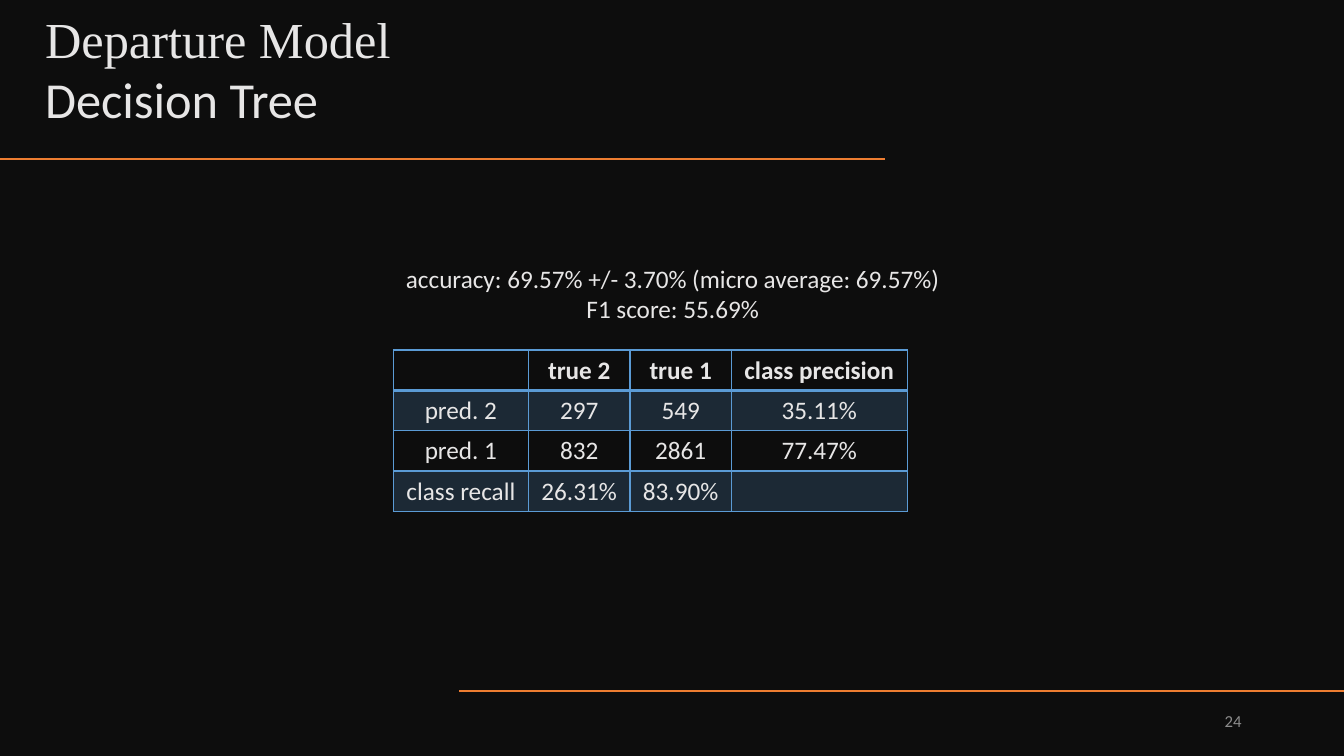
from dataclasses import dataclass

from pptx import Presentation
from pptx.dml.color import RGBColor
from pptx.enum.shapes import MSO_CONNECTOR, MSO_SHAPE
from pptx.enum.text import MSO_ANCHOR, MSO_AUTO_SIZE, PP_ALIGN
from pptx.oxml.ns import qn
from pptx.util import Pt
from lxml.etree import SubElement


@dataclass(frozen=True)
class Theme:
    back: str = "0D0D0D"
    text: str = "E7E6E6"
    muted: str = "8C8C8C"
    rule: str = "ED7D31"
    grid: str = "5B9BD5"
    band_alpha: int = 20
    title_size: int = 36
    body_size: int = 18
    number_size: int = 12
    font: str = "Calibri"
    serif: str = "Times New Roman"


T = Theme()
W, H = 960, 540
PLAIN_TABLE = "{2D5ABB26-0587-4C30-8999-92F81FD0307C}"
MATRIX = [
    ["", "true 2", "true 1", "class precision"],
    ["pred. 2", "297", "549", "35.11%"],
    ["pred. 1", "832", "2861", "77.47%"],
    ["class recall", "26.31%", "83.90%", ""],
]


def add_run(p, text, size, color=T.text, font=T.font, bold=False):
    r = p.add_run()
    r.text = text
    r.font.size, r.font.name, r.font.bold = Pt(size), font, bold
    r.font.color.rgb = RGBColor.from_string(color)


def place(sp, box):
    sp.left, sp.top, sp.width, sp.height = (Pt(v) for v in box)


def add_text_box(s, box):
    tf = s.shapes.add_textbox(*(Pt(v) for v in box)).text_frame
    tf.word_wrap = True
    return tf


def add_rule(s, x1, x2, y):
    ln = s.shapes.add_connector(MSO_CONNECTOR.STRAIGHT, Pt(x1), Pt(y), Pt(x2), Pt(y))
    ln.line.color.rgb = RGBColor.from_string(T.rule)
    ln.line.width = Pt(1)
    SubElement(ln.element.spPr, qn("a:effectLst"))


def add_backdrop(s, box):
    sp = s.shapes.add_shape(MSO_SHAPE.RECTANGLE, *(Pt(v) for v in box))
    sp.shadow.inherit = False
    sp.fill.solid()
    sp.fill.fore_color.rgb = RGBColor.from_string(T.back)
    sp.line.fill.background()
    s.shapes.title.element.addprevious(sp.element)  # behind the title


def add_title(s, box):
    sp = s.shapes.title
    place(sp, box)
    tf = sp.text_frame
    tf.word_wrap = True
    tf.auto_size = MSO_AUTO_SIZE.SHAPE_TO_FIT_TEXT
    tf.vertical_anchor = MSO_ANCHOR.TOP
    lines = [("Departure Model", T.serif), ("Decision Tree", T.font)]
    for i, (text, font) in enumerate(lines):
        p = tf.add_paragraph() if i else tf.paragraphs[0]
        p.alignment = PP_ALIGN.LEFT
        add_run(p, text, T.title_size, font=font)


def add_scores(s, box):
    tf = add_text_box(s, box)
    tf.auto_size = MSO_AUTO_SIZE.SHAPE_TO_FIT_TEXT
    p = tf.paragraphs[0]
    p.alignment = PP_ALIGN.CENTER
    add_run(p, "accuracy: 69.57% +/- 3.70% (micro average: 69.57%)", T.body_size)
    p.add_line_break()
    add_run(p, "F1 score: 55.69%", T.body_size)


def set_borders(cell, widths):
    tcPr = cell._tc.get_or_add_tcPr()
    for side in ("L", "R", "T", "B"):
        ln = SubElement(tcPr, qn(f"a:ln{side}"), w=str(Pt(widths.get(side, 1))))
        fill = SubElement(ln, qn("a:solidFill"))
        SubElement(fill, qn("a:srgbClr"), val=T.grid)


def fill_band(cell):
    cell.fill.solid()
    cell.fill.fore_color.rgb = RGBColor.from_string(T.grid)
    color = cell._tc.tcPr.find(f"{qn('a:solidFill')}/{qn('a:srgbClr')}")
    SubElement(color, qn("a:alpha"), val=str(T.band_alpha * 1000))


def add_matrix(s, box, col_widths):
    frame = s.shapes.add_table(len(MATRIX), len(MATRIX[0]), *(Pt(v) for v in box))
    next(frame.element.iter(qn("a:tableStyleId"))).text = PLAIN_TABLE
    table = frame.table
    for col, width in zip(table.columns, col_widths):
        col.width = Pt(width)
    for i, row in enumerate(MATRIX):
        table.rows[i].height = Pt(box[3] / len(MATRIX))
        # Header has a heavy lower edge
        edges = {"B": 2} if i == 0 else {"T": 2} if i == 1 else {}
        for j, text in enumerate(row):
            cell = table.cell(i, j)
            cell.vertical_anchor = MSO_ANCHOR.MIDDLE
            set_borders(cell, edges)
            if i % 2:
                fill_band(cell)
            else:
                cell.fill.background()
            if text:
                p = cell.text_frame.paragraphs[0]
                p.alignment = PP_ALIGN.CENTER
                add_run(p, text, T.body_size, bold=i == 0)


def add_number(s, box):
    tf = add_text_box(s, box)
    tf.vertical_anchor = MSO_ANCHOR.MIDDLE
    p = tf.paragraphs[0]
    p.alignment = PP_ALIGN.RIGHT
    add_run(p, "24", T.number_size, T.muted)


def build_model_slide(prs):
    s = prs.slides.add_slide(prs.slide_layouts[5])
    # Backdrop and rules
    add_backdrop(s, (0, 0, W, H))
    rule = 632
    add_rule(s, rule, 0, 113.5)
    add_rule(s, W, W - rule, 493.5)
    # Title, scores and confusion matrix
    add_title(s, (25, 2, 480, 94.5))
    add_scores(s, (279, 184.5, 403, 51))
    add_matrix(s, (281, 250, 367, 115.2), (96.5, 72.5, 72.5, 125.5))
    # Slide number
    add_number(s, (678, 500.5, 216, 28.8))


def main():
    prs = Presentation()
    prs.slide_width, prs.slide_height = Pt(W), Pt(H)
    build_model_slide(prs)
    prs.save("out.pptx")


if __name__ == "__main__":
    main()
